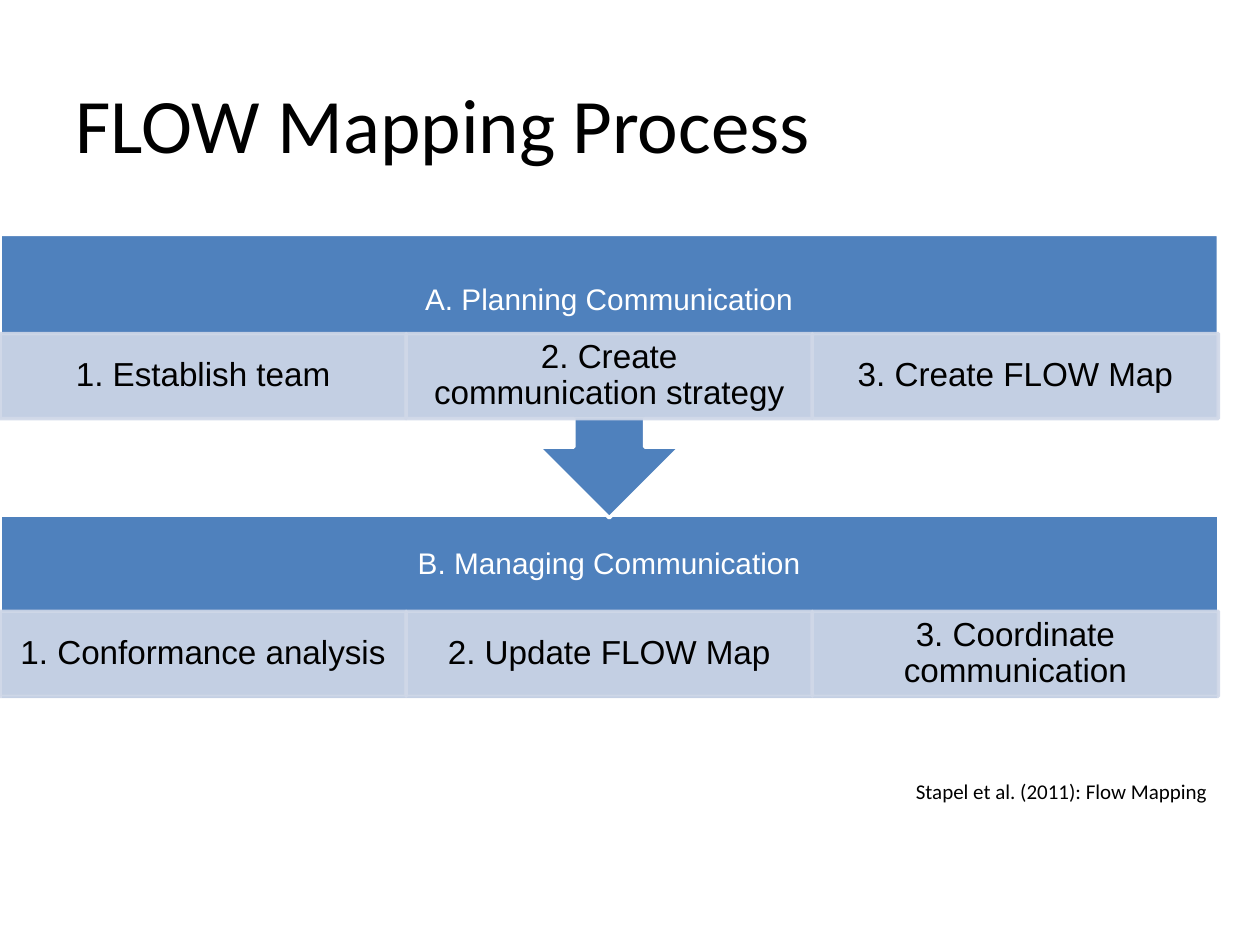
from lxml import etree
from pptx import Presentation
from pptx.dml.color import RGBColor
from pptx.enum.shapes import MSO_SHAPE
from pptx.enum.text import MSO_ANCHOR, PP_ALIGN
from pptx.oxml.ns import qn
from pptx.util import Inches, Pt

RECT = MSO_SHAPE.RECTANGLE
CALLOUT = MSO_SHAPE.UP_ARROW_CALLOUT
TOP, MIDDLE = MSO_ANCHOR.TOP, MSO_ANCHOR.MIDDLE
LEFT, CENTER = PP_ALIGN.LEFT, PP_ALIGN.CENTER

BLUE = RGBColor(0x4F, 0x81, 0xBD)
PALE = RGBColor(0xD0, 0xD8, 0xE8)
WHITE = RGBColor(0xFF, 0xFF, 0xFF)
BLACK = RGBColor(0, 0, 0)

SLIDE_W, SLIDE_H = 10, 7.5
DIAGRAM_W = 0.967 * SLIDE_W
STEP_H = 0.09 * SLIDE_H

PLANNING = ("A. Planning Communication",
            ["1. Establish team", "2. Create communication strategy", "3. Create FLOW Map"])
MANAGING = ("B. Managing Communication",
            ["1. Conformance analysis", "2. Update FLOW Map", "3. Coordinate communication"])


def inches(box):
    """Turn a left, top, width, height box into lengths."""
    return [Inches(value) for value in box]


def write(holder, wording, size, face, color, align=CENTER, anchor=MIDDLE,
          insets=(0.1, 0.05), spacing=None, wrap=True):
    """Write one formatted run into a shape or text box."""
    frame = holder.text_frame
    frame.word_wrap = wrap
    frame.vertical_anchor = anchor
    frame.margin_left = frame.margin_right = Inches(insets[0])
    frame.margin_top = frame.margin_bottom = Inches(insets[1])
    line = frame.paragraphs[0]
    line.alignment = align
    line.line_spacing = spacing
    run = line.add_run()
    run.text = wording
    run.font.size = Pt(size)
    run.font.name = face
    run.font.color.rgb = color


def add_block(slide, preset, box, fill, border, opacity=None):
    """Draw a filled, bordered block without a shadow."""
    block = slide.shapes.add_shape(preset, *inches(box))
    block.shadow.inherit = False
    block.fill.solid()
    block.fill.fore_color.rgb = fill
    block.line.color.rgb = border
    block.line.width = Pt(2)
    if opacity:
        for color in block.element.spPr.iter(qn("a:srgbClr")):
            etree.SubElement(color, qn("a:alpha")).set("val", str(opacity * 1000))
    return block


def add_label(slide, box, wording, size, face, color, **layout):
    """Place a text box with one run."""
    write(slide.shapes.add_textbox(*inches(box)), wording, size, face, color, **layout)


def add_phase(slide, box, phase, preset, heading_span, steps_share, rotation=0):
    """Draw a phase with its heading and an even row of steps."""
    left, top, width, height = box
    heading, steps = phase
    add_block(slide, preset, box, BLUE, WHITE).rotation = rotation
    start, end = heading_span
    add_label(slide, (left, top + start * height, width, (end - start) * height),
              heading, 17, "Arial", WHITE, insets=(0.13, 0.13), spacing=0.9)
    step_w = width / len(steps)
    for column, step in enumerate(steps):
        cell = add_block(slide, RECT, (left + column * step_w, top + steps_share * height,
                                       step_w, STEP_H), PALE, PALE, opacity=90)
        write(cell, step, 19, "Arial", BLACK, insets=(0.15, 0.03), spacing=0.9)


def build_slide(slide):
    """Place the title, both phases and the citation."""
    add_label(slide, (0.05 * SLIDE_W, 0.07 * SLIDE_H, 0.9 * SLIDE_W, 0.12 * SLIDE_H),
              "FLOW Mapping Process", 44, "Calibri", BLACK, align=LEFT)
    add_phase(slide, (0, 0.545 * SLIDE_H, DIAGRAM_W, 0.196 * SLIDE_H),
              MANAGING, RECT, (0, 0.54), 0.52)
    add_phase(slide, (0, 0.248 * SLIDE_H, DIAGRAM_W, 0.3 * SLIDE_H),
              PLANNING, CALLOUT, (0.12, 0.35), 0.35, rotation=180)
    add_label(slide, (0.717 * SLIDE_W, 0.817 * SLIDE_H, 0.275 * SLIDE_W, 0.04 * SLIDE_H),
              "Stapel et al. (2011): Flow Mapping", 12, "Calibri", BLACK,
              align=LEFT, anchor=TOP, wrap=False)


def main():
    """Build and save the deck."""
    deck = Presentation()
    deck.slide_width, deck.slide_height = Inches(SLIDE_W), Inches(SLIDE_H)
    build_slide(deck.slides.add_slide(deck.slide_layouts[6]))
    deck.save("out.pptx")


if __name__ == "__main__":
    main()
